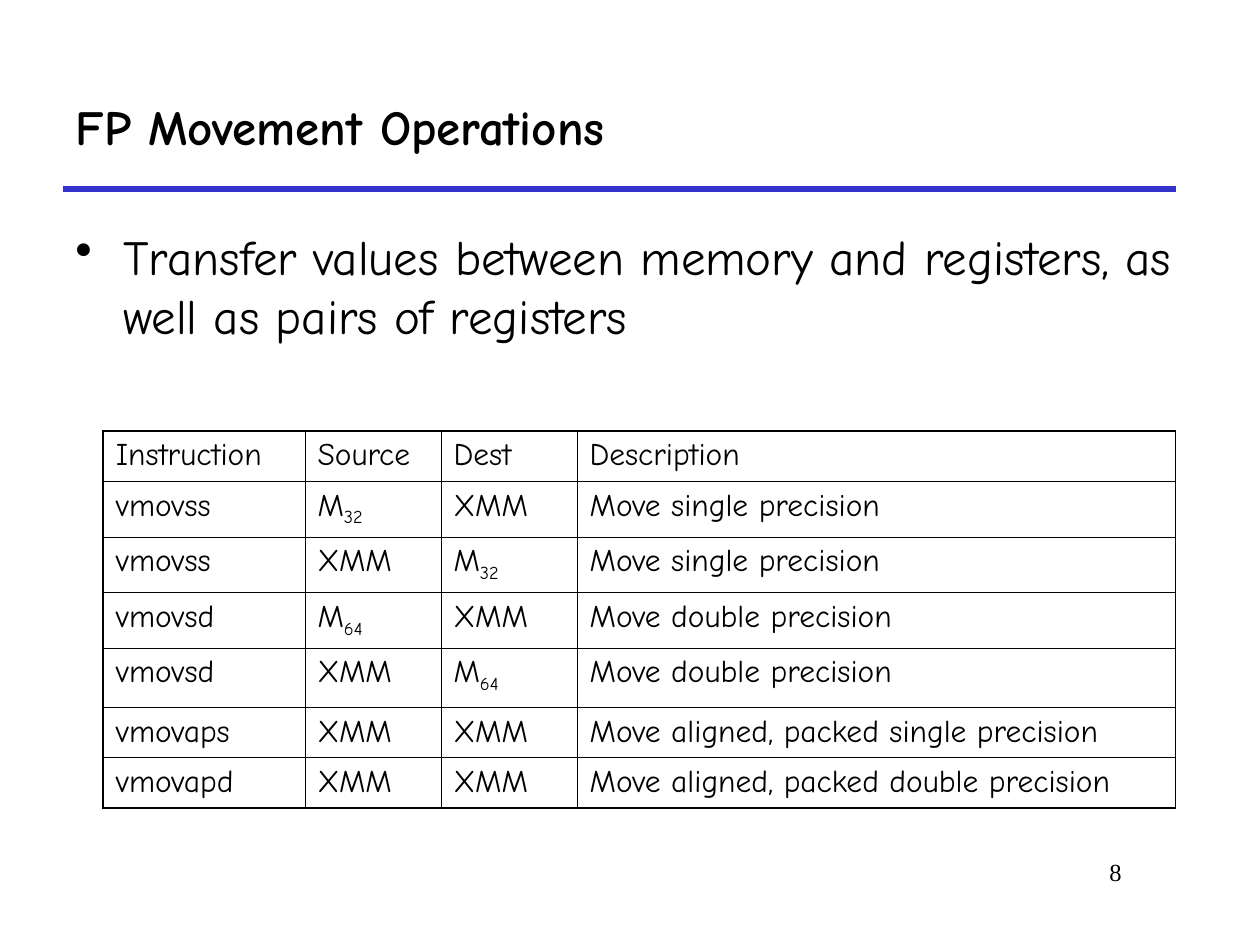
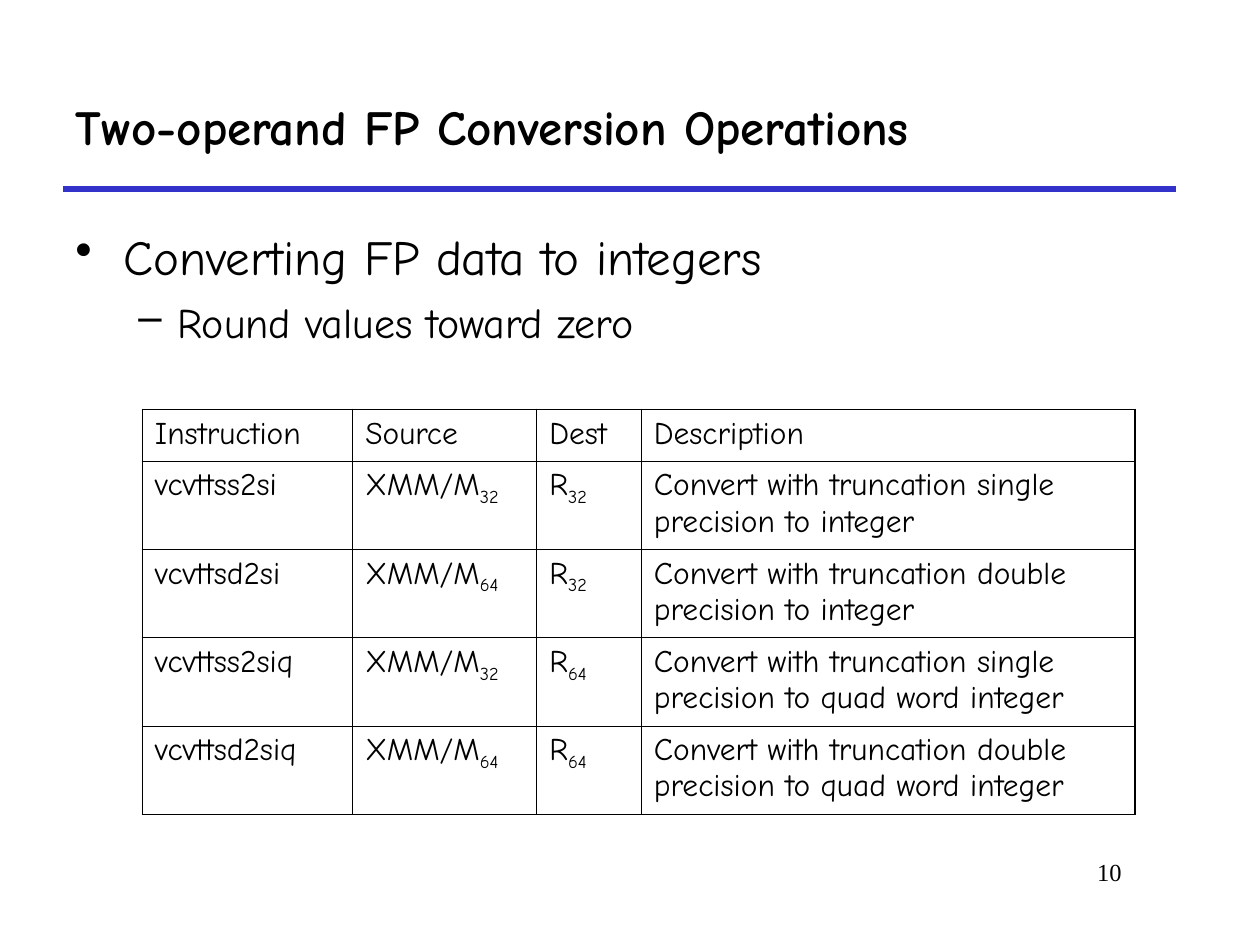
from lxml import etree
from pptx import Presentation
from pptx.dml.color import RGBColor
from pptx.enum.shapes import MSO_CONNECTOR
from pptx.enum.text import MSO_ANCHOR, MSO_AUTO_SIZE, PP_ALIGN
from pptx.oxml.ns import qn
from pptx.util import Inches, Pt

STRAIGHT = MSO_CONNECTOR.STRAIGHT
MIDDLE = MSO_ANCHOR.MIDDLE
NO_FIT = MSO_AUTO_SIZE.NONE
LEFT, RIGHT = PP_ALIGN.LEFT, PP_ALIGN.RIGHT

COLORS = {"text": "000000", "rule": "3333CC"}
FONT, NUMBER_FONT = "Comic Neue", "Times New Roman"
THIN, THICK = 0.45, 1.08

# Per bullet level: character, text indent, hanging indent, size, space before
LEVELS = [("•", 0.38, 0.38, 28, 7), ("–", 0.81, 0.31, 24, 6)]

# An underscore in a cell starts a subscript
HEADER = ["Instruction", "Source", "Dest", "Description"]
SLIDES = [
    {
        "title": "FP Movement Operations",
        "number": "8",
        "bullets": [(0, "Transfer values between memory and registers, "
                        "as well as pairs of registers")],
        "at": (0.82, 3.42),
        "cols": [1.6, 1.08, 1.08, 4.75],
        "heights": [0.4, 0.42, 0.42, 0.43, 0.47, 0.4, 0.39],
        "bottom": THICK,
        "rows": [
            ["vmovss", "M_32", "XMM", "Move single precision"],
            ["vmovss", "XMM", "M_32", "Move single precision"],
            ["vmovsd", "M_64", "XMM", "Move double precision"],
            ["vmovsd", "XMM", "M_64", "Move double precision"],
            ["vmovaps", "XMM", "XMM", "Move aligned, packed single precision"],
            ["vmovapd", "XMM", "XMM", "Move aligned, packed double precision"],
        ],
    },
    {
        "title": "Two-operand FP Conversion Operations",
        "number": "10",
        "bullets": [(0, "Converting FP data to integers"),
                    (1, "Round values toward zero")],
        "at": (1.13, 3.25),
        "cols": [1.67, 1.46, 0.83, 3.92],
        "heights": [0.41] + [0.7] * 4,
        "bottom": THIN,
        "rows": [
            ["vcvttss2si", "XMM/M_32", "R_32",
             "Convert with truncation single precision to integer"],
            ["vcvttsd2si", "XMM/M_64", "R_32",
             "Convert with truncation double precision to integer"],
            ["vcvttss2siq", "XMM/M_32", "R_64",
             "Convert with truncation single precision to quad word integer"],
            ["vcvttsd2siq", "XMM/M_64", "R_64",
             "Convert with truncation double precision to quad word integer"],
        ],
    },
]


def style(p, size, name=FONT, bold=False, align=LEFT):
    p.alignment = align
    p.font.size = Pt(size)
    p.font.name = name
    p.font.bold = bold
    p.font.color.rgb = RGBColor.from_string(COLORS["text"])


def set_borders(cell, widths):
    tcPr = cell._tc.get_or_add_tcPr()
    for side, width in zip("LRTB", widths):
        ln = etree.SubElement(tcPr, qn(f"a:ln{side}"), w=str(Pt(width)))
        fill = etree.SubElement(ln, qn("a:solidFill"))
        etree.SubElement(fill, qn("a:srgbClr"), val=COLORS["text"])


prs = Presentation()
prs.slide_width, prs.slide_height = Inches(10), Inches(7.5)

for spec_data in SLIDES:
    s = prs.slides.add_slide(prs.slide_layouts[5])

    # Title
    title = s.shapes.title
    title.left, title.top = Inches(0.5), Inches(0.5)
    title.width, title.height = Inches(8.83), Inches(1)
    tf = title.text_frame
    tf.text = spec_data["title"]
    tf.vertical_anchor = MIDDLE
    tf.auto_size = NO_FIT
    style(tf.paragraphs[0], 28, bold=True)

    # Rule under the title
    rule = s.shapes.add_connector(STRAIGHT, Inches(0.5), Inches(1.5),
                                  Inches(9.33), Inches(1.5))
    rule.line.color.rgb = RGBColor.from_string(COLORS["rule"])
    rule.line.width = Pt(3)
    etree.SubElement(rule._element.spPr, qn("a:effectLst"))

    # Slide number
    sp = s.shapes.add_textbox(Inches(7.58), Inches(6.75),
                              Inches(1.42), Inches(0.5))
    tf = sp.text_frame
    tf.word_wrap = True
    tf.text = spec_data["number"]
    style(tf.paragraphs[0], 14, NUMBER_FONT, align=RIGHT)

    # Bullets
    sp = s.shapes.add_textbox(Inches(0.5), Inches(1.75), Inches(9), Inches(2))
    tf = sp.text_frame
    tf.word_wrap = True
    for i, (level, text) in enumerate(spec_data["bullets"]):
        char, indent, hanging, size, before = LEVELS[level]
        p = tf.add_paragraph() if i else tf.paragraphs[0]
        p.text = text
        p.level = level
        p.space_before = Pt(before)
        style(p, size)
        pPr = p._p.get_or_add_pPr()
        pPr.set("marL", str(Inches(indent)))
        pPr.set("indent", str(-Inches(hanging)))
        bullet = etree.Element(qn("a:buChar"), char=char)
        pPr.find(qn("a:defRPr")).addprevious(bullet)

    # Instruction table
    rows = [HEADER] + spec_data["rows"]
    cols, heights = spec_data["cols"], spec_data["heights"]
    x, y = spec_data["at"]
    table = s.shapes.add_table(len(rows), len(cols), Inches(x), Inches(y),
                               Inches(sum(cols)), Inches(sum(heights))).table
    table.first_row = table.horz_banding = False
    for col, width in zip(table.columns, cols):
        col.width = Inches(width)
    for row, height in zip(table.rows, heights):
        row.height = Inches(height)

    for i, texts in enumerate(rows):
        for j, text in enumerate(texts):
            cell = table.cell(i, j)
            set_borders(cell, [THICK if j == 0 else THIN,
                               THICK if j == len(cols) - 1 else THIN,
                               THICK if i == 0 else THIN,
                               spec_data["bottom"] if i == len(rows) - 1 else THIN])
            cell.fill.background()
            p = cell.text_frame.paragraphs[0]
            p.space_before = Pt(4.5)
            style(p, 18)
            for k, part in enumerate(text.split("_")):
                r = p.add_run()
                r.text = part
                if k:
                    r._r.get_or_add_rPr().set("baseline", "-25000")

prs.save("out.pptx")
